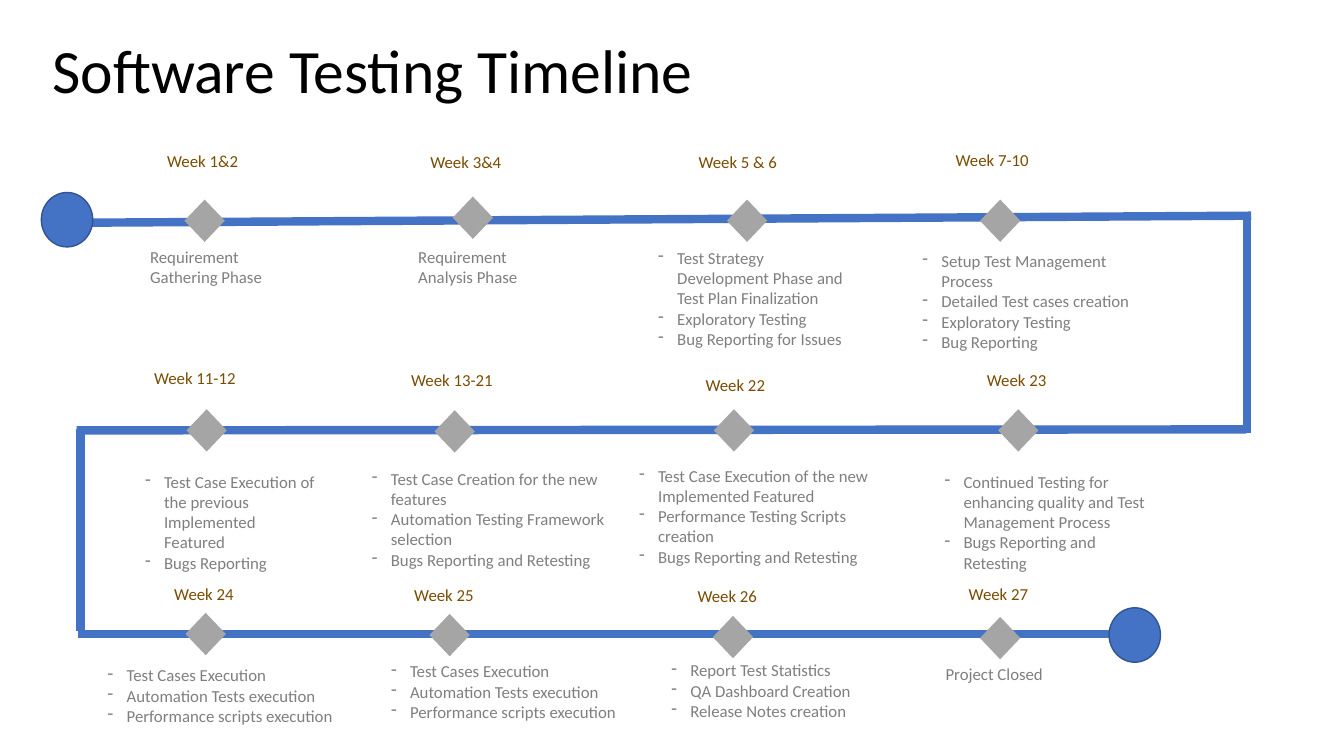
from lxml import etree
from pptx import Presentation
from pptx import util as u
from pptx.dml.color import RGBColor
from pptx.enum import shapes, text
from pptx.oxml import ns

BLACK = RGBColor(0x00, 0x00, 0x00)
BLUE = RGBColor(0x44, 0x72, 0xC4)
DARK_BLUE = RGBColor(0x32, 0x54, 0x91)
GRAY = RGBColor(0xA5, 0xA5, 0xA5)
NOTE_GRAY = RGBColor(0x7F, 0x7F, 0x7F)
BROWN = RGBColor(0x7B, 0x4C, 0x00)

# Grid: square cells, ten to the inch; every length below is in cells
CELL = u.Inches(0.1)
LABEL_SIZE = (12, 3.3)
GEM_SIZE = (4, 4.2)
END_SIZE = (5.1, 5.4)
NOTE_HEIGHT = 7.6
BULLET_INDENT = 1.88

# Row: box (left, top), path start and end, then milestones, relative to the box
# Milestone: week, label (x, y), diamond (x, y), notes (x, y, width), lines
ROWS = [
    ((8, 14), (-0.4, 8.1), (116.1, 7.4), [
        ("Week 1&2", (7.6, 0.5), (10.3, 5.8), (5.9, 10, 13.2),
         ["Requirement Gathering Phase"]),
        ("Week 3&4", (33.7, 0.6), (36.9, 5.5), (32.5, 10, 16.3),
         ["Requirement Analysis Phase"]),
        ("Week 5 & 6", (60.3, 0.6), (64.1, 5.8), (56.3, 10.1, 21.1),
         ["Test Strategy Development Phase and Test Plan Finalization",
          "Exploratory Testing", "Bug Reporting for Issues"]),
        ("Week 7-10", (85.8, 0.4), (89.2, 5.8), (82.5, 10.4, 23.9),
         ["Setup Test Management Process", "Detailed Test cases creation",
          "Exploratory Testing", "Bug Reporting"]),
    ]),
    ((8, 36), (-0.4, 6.7), (115.6, 6.6), [
        ("Week 11-12", (6.3, 0), (10.5, 4.6), (5.4, 10.3, 19.2),
         ["Test Case Execution of the previous Implemented Featured",
          "Bugs Reporting"]),
        ("Week 13-21", (31.8, 0.2), (35.1, 4.7), (27.9, 10, 25.2),
         ["Test Case Creation for the new features",
          "Automation Testing Framework selection",
          "Bugs Reporting and Retesting"]),
        ("Week 22", (61, 0.7), (62.8, 4.6), (54.4, 9.7, 25.2),
         ["Test Case Execution of the new Implemented Featured",
          "Performance Testing Scripts creation",
          "Bugs Reporting and Retesting"]),
        ("Week 23", (88.9, 0.2), (91, 4.6), (84.7, 10.3, 22.9),
         ["Continued Testing for enhancing quality and Test Management Process",
          "Bugs Reporting and Retesting"]),
    ]),
    ((8, 57), (-0.3, 5.9), (102.4, 5.9), [
        ("Week 24", (8.3, 0.4), (10.4, 3.8), (1.7, 8.5, 25.2),
         ["Test Cases Execution", "Automation Tests execution",
          "Performance scripts execution"]),
        ("Week 25", (32.1, 0.5), (34.6, 3.9), (29.8, 8.1, 25.2),
         ["Test Cases Execution", "Automation Tests execution",
          "Performance scripts execution"]),
        ("Week 26", (60.2, 0.6), (62.7, 4.1), (57.6, 8, 20),
         ["Report Test Statistics", "QA Dashboard Creation",
          "Release Notes creation"]),
        ("Week 27", (87.1, 0.4), (89.2, 4.2), (84.8, 8.4, 13),
         ["Project Closed"]),
    ]),
]
TURNS = [((123.7, 21), (123.7, 43)), ((8, 42.6), (8, 62.6))]
ENDS = [(4.1, 19.1), (110, 60.3)]


def cells(*lengths):
    return [round(length * CELL) for length in lengths]


def shift(box, point):
    return box[0] + point[0], box[1] + point[1]


def write(frame, lines, size=12, color=NOTE_GRAY, bullets=False, spacing=None,
          anchor=text.MSO_ANCHOR.TOP):
    frame.word_wrap = True
    frame.auto_size = text.MSO_AUTO_SIZE.NONE
    frame.vertical_anchor = anchor
    for number, line in enumerate(lines):
        paragraph = frame.add_paragraph() if number else frame.paragraphs[0]
        paragraph.alignment = text.PP_ALIGN.LEFT
        paragraph.line_spacing = spacing
        run = paragraph.add_run()
        run.text = line
        run.font.name, run.font.size = "Calibri", u.Pt(size)
        run.font.color.rgb = color
        if bullets:
            indent, = cells(BULLET_INDENT)
            properties = paragraph._p.get_or_add_pPr()
            properties.set("marL", str(indent))
            properties.set("indent", str(-indent))
            etree.SubElement(properties, ns.qn("a:buChar")).set("char", "-")


def add_text(slide, at, size, lines, **style):
    box = slide.shapes.add_textbox(*cells(*at, *size))
    write(box.text_frame, lines, **style)


def add_path(slide, start, end):
    path = slide.shapes.add_connector(
        shapes.MSO_CONNECTOR.STRAIGHT, *cells(*start, *end))
    path.line.color.rgb, path.line.width = BLUE, u.Pt(6)
    etree.SubElement(path._element.spPr, ns.qn("a:effectLst"))


def add_marker(slide, kind, at, size, fill, outline=None):
    marker = slide.shapes.add_shape(kind, *cells(*at, *size))
    marker.shadow.inherit = False
    marker.fill.solid()
    marker.fill.fore_color.rgb = fill
    if outline is None:
        marker.line.fill.background()
    else:
        marker.line.color.rgb, marker.line.width = outline, u.Pt(1)


def add_title(slide, box):
    title = slide.shapes.title
    title.left, title.top, title.width, title.height = cells(*box)
    write(title.text_frame, ["Software Testing Timeline"], size=44, color=BLACK,
          spacing=0.9, anchor=text.MSO_ANCHOR.MIDDLE)


def add_row(slide, box, start, end, milestones):
    add_path(slide, shift(box, start), shift(box, end))
    for week, label, gem, (x, y, width), notes in milestones:
        add_marker(slide, shapes.MSO_SHAPE.DIAMOND, shift(box, gem), GEM_SIZE, GRAY)
        add_text(slide, shift(box, label), LABEL_SIZE, [week], color=BROWN)
        add_text(slide, shift(box, (x, y)), (width, NOTE_HEIGHT), notes,
                 bullets=len(notes) > 1)


deck = Presentation()
deck.slide_width, deck.slide_height = u.Inches(13.33), u.Inches(7.5)
timeline = deck.slides.add_slide(deck.slide_layouts[5])

add_title(timeline, (4.2, 3.5, 102.4, 7.6))

# Three rows of milestones
for row in ROWS:
    add_row(timeline, *row)

# Turns between rows
for turn in TURNS:
    add_path(timeline, *turn)

# Start and finish
for spot in ENDS:
    add_marker(timeline, shapes.MSO_SHAPE.FLOWCHART_CONNECTOR, spot, END_SIZE,
               BLUE, DARK_BLUE)

deck.save("out.pptx")
